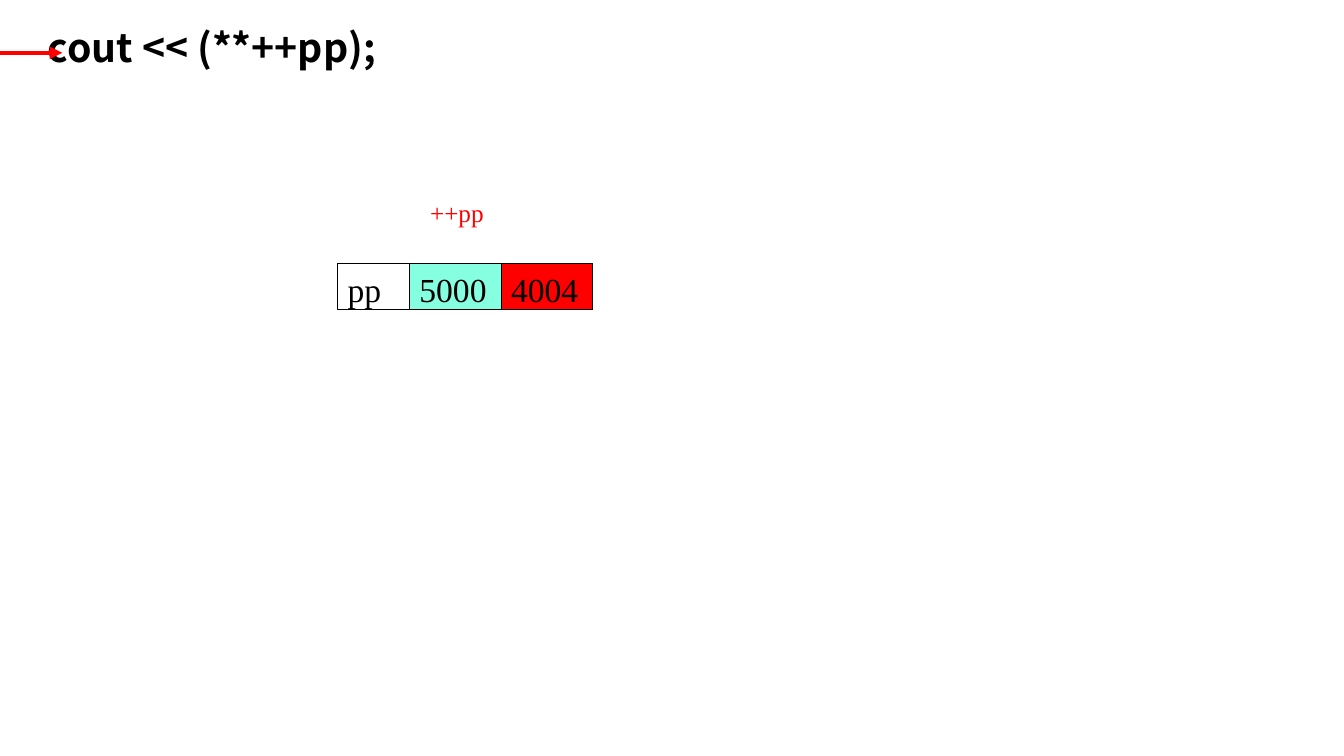
from pptx import Presentation
from pptx.dml.color import RGBColor
from pptx.enum.shapes import MSO_CONNECTOR, MSO_SHAPE
from pptx.enum.text import MSO_ANCHOR, PP_ALIGN
from pptx.oxml.ns import qn
from pptx.util import Cm, Pt
from lxml.etree import SubElement

SERIF = "Times New Roman"
CODE_FONT = "Noto Sans CJK SC"
BLACK, WHITE, RED, AQUA = "000000", "FFFFFF", "FF0000", "85FFE0"


def color(hex_value):
    return RGBColor.from_string(hex_value)


def set_text(shape, text, size, font_name=SERIF, font_color=BLACK, bold=False):
    frame = shape.text_frame
    frame.word_wrap = True
    frame.vertical_anchor = MSO_ANCHOR.TOP
    paragraph = frame.paragraphs[0]
    paragraph.text = text
    paragraph.alignment = PP_ALIGN.LEFT
    font = paragraph.font
    font.name = font_name
    font.size = Pt(size)
    font.bold = bold
    font.color.rgb = color(font_color)
    # East Asian typeface, so every script uses the same font
    SubElement(font._element, qn("a:ea")).set("typeface", font_name)


def add_code_line(slide, text):
    box = slide.shapes.add_textbox(Cm(0.51), Cm(0.46), Cm(32.99), Cm(18.01))
    box.text_frame.margin_left = Cm(0.7)
    set_text(box, text, 28, CODE_FONT, bold=True)


def add_label(slide, text, left, top):
    box = slide.shapes.add_textbox(left, top, Cm(4.85), Cm(1.02))
    set_text(box, text, 18, font_color=RED)


def add_arrow(slide, start_x, end_x, y):
    arrow = slide.shapes.add_connector(MSO_CONNECTOR.STRAIGHT, start_x, y, end_x, y)
    arrow.line.color.rgb = color(RED)
    arrow.line.width = Pt(3)
    SubElement(arrow.line._get_or_add_ln(), qn("a:tailEnd")).set("type", "triangle")
    SubElement(arrow._element.spPr, qn("a:effectLst"))


def add_memory_cell(slide, text, left, width, fill):
    cell = slide.shapes.add_shape(MSO_SHAPE.RECTANGLE, left, Cm(6.63), width, Cm(1.18))
    cell.shadow.inherit = False
    cell.fill.solid()
    cell.fill.fore_color.rgb = color(fill)
    cell.line.color.rgb = color(BLACK)
    cell.line.width = Pt(0.75)
    cell.text_frame.margin_top = Cm(0.15)
    cell.text_frame.margin_bottom = 0
    set_text(cell, text, 24)


def add_memory_row(slide, left, cells):
    """Place cells of (text, width, fill) side by side."""
    for text, width, fill in cells:
        add_memory_cell(slide, text, left, width, fill)
        left += width


def main():
    presentation = Presentation()
    presentation.slide_width = Cm(33.87)
    presentation.slide_height = Cm(19.05)
    slide = presentation.slides.add_slide(presentation.slide_layouts[6])

    add_code_line(slide, "cout << (**++pp);")
    add_arrow(slide, Cm(0), Cm(1.57), Cm(1.33))
    add_memory_row(slide, Cm(8.51), [
        ("pp", Cm(1.81), WHITE),
        ("5000", Cm(2.31), AQUA),
        ("4004", Cm(2.31), RED),
    ])
    add_label(slide, "++pp", Cm(10.59), Cm(4.85))

    presentation.save("out.pptx")


if __name__ == "__main__":
    main()
